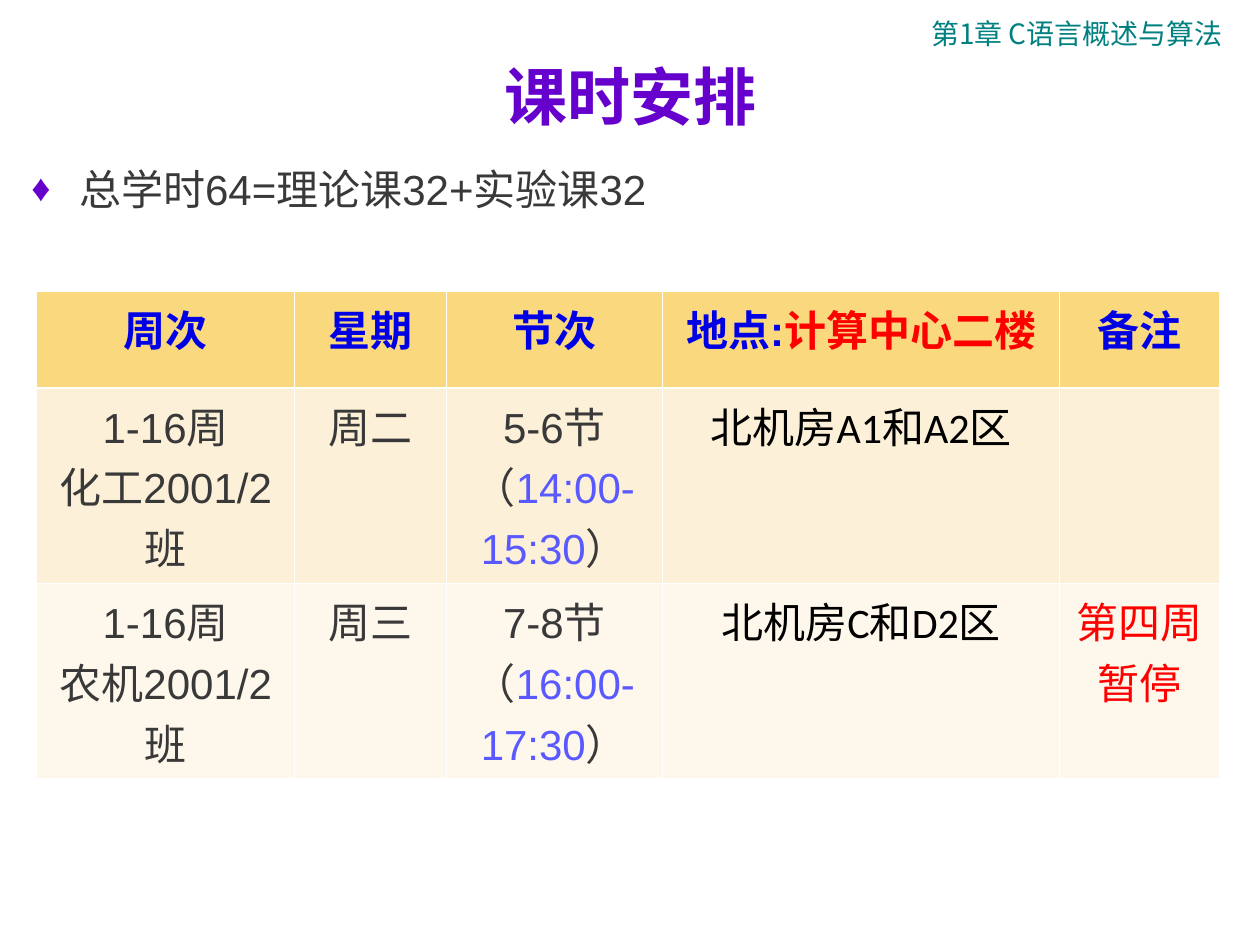
from pptx import Presentation
from pptx import util as u
from pptx.dml import color
from pptx.enum import text
from pptx.oxml import ns
from lxml import etree

# Content: a paragraph is a list of (wording, style) runs
CHAPTER = [[("第1章 C语言概述与算法", "chapter")]]
TITLE = [[("课时安排", "title")]]
HOURS = [[("总学时64=理论课32+实验课32", "body")]]
HEADINGS = [
    [[("周次", "head")]],
    [[("星期", "head")]],
    [[("节次", "head")]],
    [[("地点:", "head"), ("计算中心二楼", "head_alert")]],
    [[("备注", "head")]],
]
# class, weekday, periods, time, room, remark
LESSONS = [
    ("化工2001/2班", "周二", "5-6节", "14:00-15:30", "北机房A1和A2区", ""),
    ("农机2001/2班", "周三", "7-8节", "16:00-17:30", "北机房C和D2区", "第四周暂停"),
]
COLUMN_WIDTHS = [2.05, 1.2, 1.72, 3.15, 1.27]
# Lesson rows hold three lines of text
ROW_HEIGHTS = [0.77, 1.55, 1.55]

THEME = {
    "cjk": "Noto Sans CJK JP",
    "bullet_font": "Arial",
    "accent": "6600CC",
    "border": "FFFFFF",
    "rows": ["F9D87E", "FDF0D8", "FEF8EC"],
    # font, size, colour, bold
    "styles": {
        "chapter": ("Noto Sans CJK JP", 16, "008080", False),
        "title": ("Arial", 36, "6600CC", True),
        "body": ("Arial", 24, "393939", False),
        "head": ("Arial", 24, "0000E5", True),
        "head_alert": ("Arial", 24, "FF0000", True),
        "time": ("Arial", 24, "5959FF", False),
        "room": ("Calibri", 24, "000000", False),
        "alert": ("Arial", 24, "FF0000", False),
    },
}
THIN, THICK = 0.45, 1.47


def add_xml(parent, tag, **attributes):
    return etree.SubElement(parent, ns.qn(tag), attributes)


def write(frame, paragraphs, align=text.PP_ALIGN.CENTER, before=0, bullet=None):
    for index, runs in enumerate(paragraphs):
        line = frame.add_paragraph() if index else frame.paragraphs[0]
        line.alignment = align
        line.space_before = u.Pt(before)
        if bullet:
            props = line._p.get_or_add_pPr()
            indent = u.Inches(0.38)
            props.set("marL", str(indent))
            props.set("indent", str(-indent))
            add_xml(add_xml(props, "a:buClr"), "a:srgbClr", val=THEME["accent"])
            add_xml(props, "a:buSzPct", val="90000")
            add_xml(props, "a:buFont", typeface=THEME["bullet_font"])
            add_xml(props, "a:buChar", char=bullet)
        for wording, style in runs:
            name, size, rgb, bold = THEME["styles"][style]
            run = line.add_run()
            run.text = wording
            font = run.font
            font.name, font.size, font.bold = name, u.Pt(size), bold
            font.color.rgb = color.RGBColor.from_string(rgb)
            add_xml(font._element, "a:ea", typeface=THEME["cjk"])


def add_text(slide, box, paragraphs, anchor=text.MSO_ANCHOR.TOP, wrap=True, **layout):
    frame = slide.shapes.add_textbox(*map(u.Inches, box)).text_frame
    frame.word_wrap = wrap
    frame.vertical_anchor = anchor
    write(frame, paragraphs, **layout)


def add_borders(cell, top, bottom):
    props = cell._tc.get_or_add_tcPr()
    for side, width in (("L", THIN), ("R", THIN), ("T", top), ("B", bottom)):
        line = add_xml(props, f"a:ln{side}", w=str(u.Pt(width)))
        add_xml(add_xml(line, "a:solidFill"), "a:srgbClr", val=THEME["border"])


def lesson_cells(group, weekday, periods, time, room, remark):
    return [
        [[("1-16周", "body")], [(group, "body")]],
        [[(weekday, "body")]],
        [[(periods + "（", "body"), (time, "time"), ("）", "body")]],
        [[(room, "room")]],
        [[(remark, "alert")]] if remark else [],
    ]


def add_timetable(slide, left, top):
    rows = [HEADINGS] + [lesson_cells(*lesson) for lesson in LESSONS]
    size = sum(COLUMN_WIDTHS), sum(ROW_HEIGHTS)
    timetable = slide.shapes.add_table(
        len(rows), len(COLUMN_WIDTHS), *map(u.Inches, (left, top, *size))).table
    for column, width in zip(timetable.columns, COLUMN_WIDTHS):
        column.width = u.Inches(width)
    for r, cells in enumerate(rows):
        timetable.rows[r].height = u.Inches(ROW_HEIGHTS[r])
        for c, paragraphs in enumerate(cells):
            cell = timetable.cell(r, c)
            # The heavier rule separates headings from lessons
            add_borders(cell, THICK if r == 1 else THIN, THICK if r == 0 else THIN)
            cell.fill.solid()
            cell.fill.fore_color.rgb = color.RGBColor.from_string(THEME["rows"][r])
            write(cell.text_frame, paragraphs)


def main():
    deck = Presentation()
    deck.slide_width, deck.slide_height = u.Inches(10), u.Inches(7.5)
    slide = deck.slides.add_slide(deck.slide_layouts[6])

    # Chapter name and title
    add_text(slide, (7.17, 0.08, 2.75, 0.37), CHAPTER, wrap=False)
    add_text(slide, (0.17, 0.42, 9.67, 0.67), TITLE, anchor=text.MSO_ANCHOR.MIDDLE)

    # Total hours
    add_text(slide, (0.15, 1.25, 9.67, 5.67), HOURS,
             align=text.PP_ALIGN.LEFT, before=6, bullet="♦")

    # Timetable
    add_timetable(slide, 0.29, 2.31)
    deck.save("out.pptx")


if __name__ == "__main__":
    main()
